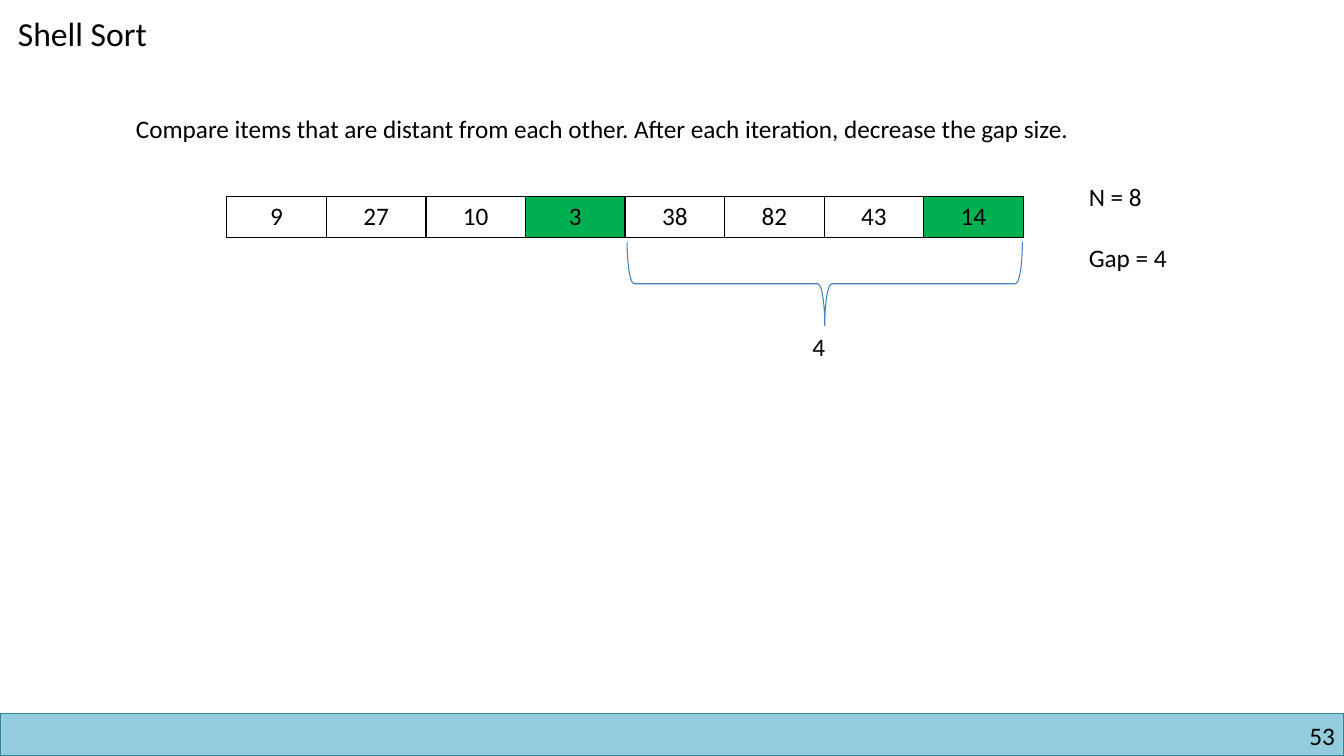
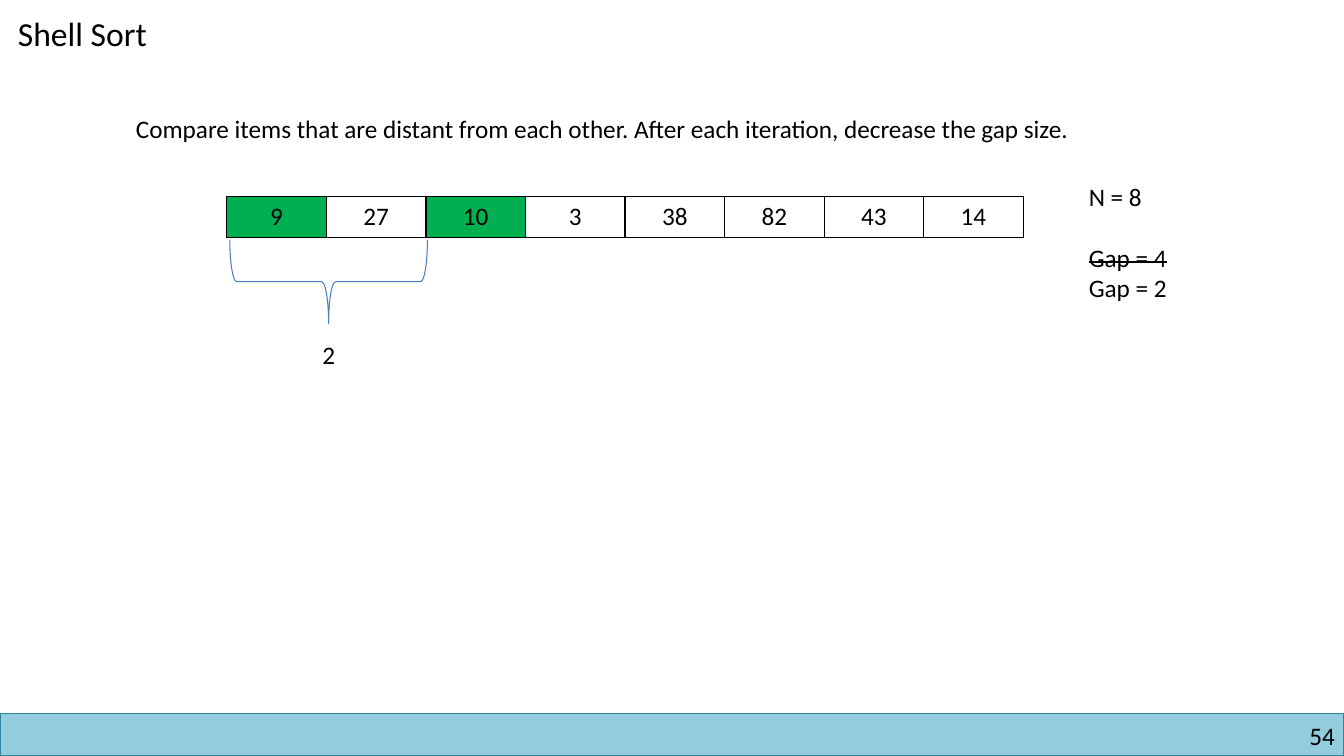
"""Build two slides that show the gap shrinking in Shell sort."""
from dataclasses import dataclass

from lxml.etree import SubElement
from pptx import Presentation
from pptx.dml.color import RGBColor as RGB
from pptx.enum.shapes import MSO_SHAPE as Shp
from pptx.enum.text import PP_ALIGN as Align
from pptx.oxml.ns import qn
from pptx.util import Inches, Pt


@dataclass(frozen=True)
class Theme:
    font: str = "Calibri"
    title: int = 24
    body: int = 18
    border: int = 1
    brace_width: float = 0.75
    text: RGB = RGB(0x00, 0x00, 0x00)
    cell: RGB = RGB(0xFF, 0xFF, 0xFF)
    compared: RGB = RGB(0x00, 0xB0, 0x50)
    band: RGB = RGB(0x93, 0xCD, 0xDD)
    band_line: RGB = RGB(0x31, 0x85, 0x9C)
    brace: RGB = RGB(0x4B, 0x7E, 0xBC)


@dataclass(frozen=True)
class Box:
    left: float
    top: float
    width: float
    height: float

    def emu(self):
        return [Inches(v) for v in (self.left, self.top, self.width, self.height)]


@dataclass(frozen=True)
class Line:
    text: str
    before: float = 0
    strike: bool = False


@dataclass(frozen=True)
class Step:
    number: int
    gap: int
    compared: tuple[int, int]
    brace: Box
    label: Box
    notes: tuple[Line, ...]


T = Theme()
WIDTH, HEIGHT = 13.33, 7.5
BAND = Box(0, 7.08, WIDTH, 0.42)
NUMBER = Box(10.17, 7.15, 3.07, 0.3)
TITLE = Box(0.08, 0.08, 1.66, 0.5)
INTRO = Box(1.25, 1.08, 10.36, 0.4)
ARRAY = Box(2.25, 1.95, 7.9, 0.41)
NOTES = Box(10.7, 1.75, 1.11, 1.31)
VALUES = (9, 27, 10, 3, 38, 82, 43, 14)
SIZE_NOTE = Line(f"N = {len(VALUES)}")
BLANK_LINE = 22

STEPS = (
    Step(53, 4, (3, 7), Box(6.22, 2.4, 3.92, 0.83), Box(7.96, 3.24, 0.34, 0.4),
         (SIZE_NOTE, Line("Gap = 4", BLANK_LINE))),
    Step(54, 2, (0, 2), Box(2.28, 2.38, 1.96, 0.83), Box(3.1, 3.32, 0.34, 0.4),
         (SIZE_NOTE, Line("Gap = 4", BLANK_LINE, True), Line("Gap = 2"))),
)


def style(p, size: int = T.body, align: Align = Align.LEFT) -> None:
    p.alignment = align
    p.font.name, p.font.size = T.font, Pt(size)
    p.font.color.rgb = T.text


def add_text(s, box: Box, *lines: Line, size: int = T.body,
             align: Align = Align.LEFT, inset: bool = True) -> None:
    tf = s.shapes.add_textbox(*box.emu()).text_frame
    tf.word_wrap = True
    if not inset:
        tf.margin_left = tf.margin_right = tf.margin_top = tf.margin_bottom = 0
    for i, line in enumerate(lines):
        p = tf.add_paragraph() if i else tf.paragraphs[0]
        r = p.add_run()
        r.text = line.text
        if line.strike:
            r._r.get_or_add_rPr().set("strike", "sngStrike")
        if line.before:
            p.space_before = Pt(line.before)
        style(p, size, align)


def add_frame(s, number: int) -> None:
    band = s.shapes.add_shape(Shp.RECTANGLE, *BAND.emu())
    band.shadow.inherit = False
    band.fill.solid()
    band.fill.fore_color.rgb = T.band
    band.line.color.rgb = T.band_line
    band.line.width = Pt(1)
    add_text(s, NUMBER, Line(str(number)), align=Align.RIGHT, inset=False)
    add_text(s, TITLE, Line("Shell Sort"), size=T.title)
    add_text(s, INTRO, Line("Compare items that are distant from each other. "
                            "After each iteration, decrease the gap size."))


def add_borders(cell) -> None:
    tc_pr = cell._tc.get_or_add_tcPr()
    for side in ("a:lnL", "a:lnR", "a:lnT", "a:lnB"):
        ln = SubElement(tc_pr, qn(side), w=str(Pt(T.border)))
        fill = SubElement(ln, qn("a:solidFill"))
        SubElement(fill, qn("a:srgbClr"), val=str(T.text))


def add_array(s, compared: tuple[int, int]) -> None:
    table = s.shapes.add_table(1, len(VALUES), *ARRAY.emu()).table
    table.first_row = table.horz_banding = False
    for i, value in enumerate(VALUES):
        table.columns[i].width = Inches(ARRAY.width / len(VALUES))
        cell = table.cell(0, i)
        cell.text = str(value)
        style(cell.text_frame.paragraphs[0], align=Align.CENTER)
        add_borders(cell)
        cell.fill.solid()
        cell.fill.fore_color.rgb = T.compared if i in compared else T.cell


def add_brace(s, span: Box) -> None:
    shift = (span.width - span.height) / 2
    upright = Box(span.left + shift, span.top - shift, span.height, span.width)
    brace = s.shapes.add_shape(Shp.LEFT_BRACE, *upright.emu())
    brace.rotation = 270
    brace.shadow.inherit = False
    brace.fill.background()
    brace.line.color.rgb = T.brace
    brace.line.width = Pt(T.brace_width)


def add_step(prs, step: Step) -> None:
    s = prs.slides.add_slide(prs.slide_layouts[6])
    add_frame(s, step.number)
    add_array(s, step.compared)
    add_text(s, NOTES, *step.notes)
    add_brace(s, step.brace)
    add_text(s, step.label, Line(str(step.gap)))


def main() -> None:
    prs = Presentation()
    prs.slide_width, prs.slide_height = Inches(WIDTH), Inches(HEIGHT)
    for step in STEPS:
        add_step(prs, step)
    prs.save("out.pptx")


if __name__ == "__main__":
    main()
